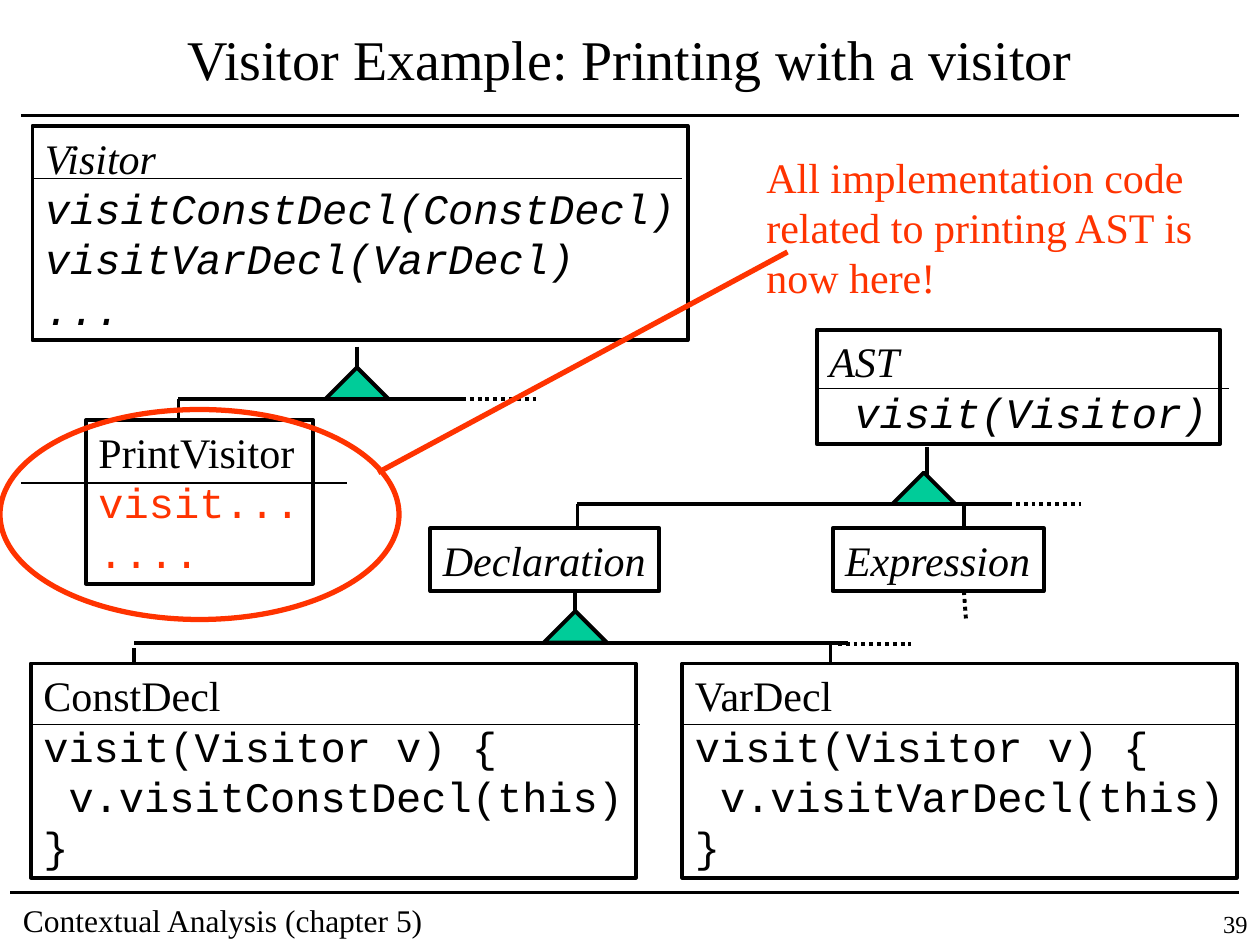
import pptx
import pptx.util
import pptx.dml.color
import pptx.enum.dml
import pptx.enum.shapes
import pptx.enum.text
import pptx.oxml.ns
import lxml.etree

SHAPE = pptx.enum.shapes.MSO_SHAPE
ALIGN = pptx.enum.text.PP_ALIGN
ANCHOR = pptx.enum.text.MSO_ANCHOR
SERIF = "Times New Roman"
MONO = "Courier New"
BLACK, RED, GREEN, WHITE = "000000", "FF3300", "00CC99", "FFFFFF"
COLUMNS, ROWS = 120, 90


def color(value):
    return pptx.dml.color.RGBColor.from_string(value)


class ClassDiagram:
    body = {"size": 24, "name": SERIF, "italic": False, "color": BLACK}
    outline = 2.25
    hairline = 0.75
    callout = 3

    def __init__(self, presentation):
        self.presentation = presentation
        self.slide = presentation.slides.add_slide(presentation.slide_layouts[5])

    def place(self, *cells):
        width, height = self.presentation.slide_width, self.presentation.slide_height
        return [int(cell * (height / ROWS if index % 2 else width / COLUMNS))
                for index, cell in enumerate(cells)]

    def set_lines(self, shape, lines, wrap=True, align=ALIGN.LEFT, anchor=ANCHOR.TOP):
        frame = shape.text_frame
        settings = {"word_wrap": wrap, "vertical_anchor": anchor,
                    "margin_left": pptx.util.Inches(0.1), "margin_right": pptx.util.Inches(0.1),
                    "margin_top": pptx.util.Inches(0.05), "margin_bottom": pptx.util.Inches(0.05)}
        for key, value in settings.items():
            setattr(frame, key, value)
        for index, (text, changes) in enumerate(lines):
            paragraph = frame.add_paragraph() if index else frame.paragraphs[0]
            look = {**self.body, **changes}
            spacing = {"alignment": align, "line_spacing": pptx.util.Pt(look["size"] * 1.2),
                       "space_before": pptx.util.Pt(0)}
            for key, value in spacing.items():
                setattr(paragraph, key, value)
            run = paragraph.add_run()
            run.text = text
            font = {"size": pptx.util.Pt(look["size"]), "name": look["name"],
                    "italic": look["italic"]}
            for key, value in font.items():
                setattr(run.font, key, value)
            run.font.color.rgb = color(look["color"])

    def title(self, text, *cells):
        shape = self.slide.shapes.title
        for key, value in zip(("left", "top", "width", "height"), self.place(*cells)):
            setattr(shape, key, value)
        self.set_lines(shape, [(text, {"size": 32})], align=ALIGN.CENTER, anchor=ANCHOR.MIDDLE)

    def text(self, text, cells, align=ALIGN.LEFT, **changes):
        shape = self.slide.shapes.add_textbox(*self.place(*cells))
        self.set_lines(shape, [(text, changes)], align=align)

    def shape(self, kind, cells, fill=None, line=BLACK, width=outline):
        shape = self.slide.shapes.add_shape(kind, *self.place(*cells))
        shape.shadow.inherit = False
        if fill:
            shape.fill.solid()
            shape.fill.fore_color.rgb = color(fill)
        else:
            shape.fill.background()
        shape.line.color.rgb = color(line)
        shape.line.width = pptx.util.Pt(width)
        return shape

    def class_box(self, cells, name, members=(), abstract=False, member_color=BLACK, fill=None):
        lines = [(name, {"italic": abstract})]
        lines += [(member, {"name": MONO, "italic": abstract, "color": member_color})
                  for member in members]
        self.set_lines(self.shape(SHAPE.RECTANGLE, cells, fill), lines, wrap=False)

    def line(self, cells, line=BLACK, width=outline, dotted=False):
        connector = self.slide.shapes.add_connector(
            pptx.enum.shapes.MSO_CONNECTOR.STRAIGHT, *self.place(*cells))
        connector.line.color.rgb = color(line)
        connector.line.width = pptx.util.Pt(width)
        if dotted:
            connector.line.dash_style = pptx.enum.dml.MSO_LINE.ROUND_DOT
        lxml.etree.SubElement(connector._element.spPr, pptx.oxml.ns.qn("a:effectLst"))

    def inheritance(self, stem, triangle, bus, drops, dots):
        self.line(stem)
        self.line(bus)
        for x, top, bottom in drops:
            self.line((x, top, x, bottom))
        x, y = dots
        self.line((x, y, x + 7, y), dotted=True)
        self.shape(SHAPE.ISOSCELES_TRIANGLE, (*triangle, 6, 3), GREEN)


presentation = pptx.Presentation()
presentation.slide_width = pptx.util.Inches(10)
presentation.slide_height = pptx.util.Inches(7.5)
diagram = ClassDiagram(presentation)

diagram.title("Visitor Example: Printing with a visitor", 3, 1, 114, 9)
diagram.line((2, 11, 118, 11))
diagram.line((1, 85, 118, 85))
diagram.text("Contextual Analysis (chapter 5)", (1, 85.2, 46, 4.8), size=18)
diagram.text("39", (111, 86, 9, 4), ALIGN.RIGHT, size=14)

trees = [
    ((88.3, 42.6, 88.3, 45.6), (85, 45), (55, 48, 96, 48),
     [(55, 48, 51), (91.8, 48.2, 50.3)], (96, 48)),
    ((54.8, 56.3, 54.8, 58.7), (51.8, 58.2), (12.8, 61.2, 80.8, 61.2),
     [(12.8, 61.7, 63.2), (79.1, 61.2, 63.2)], (79.8, 61.3)),
    ((34, 33, 34, 35), (31, 35), (17, 38, 44, 38), [(17, 38, 40.3)], (44, 38)),
]
for tree in trees:
    diagram.inheritance(*tree)
diagram.line((91.8, 56.3, 92, 59), dotted=True)

diagram.class_box((77.8, 31.4, 38.4, 10.9), "AST", [" visit(Visitor)"], abstract=True)
diagram.class_box((3.1, 12, 62.4, 20.4), "Visitor",
                  ["visitConstDecl(ConstDecl)", "visitVarDecl(VarDecl)", "..."], abstract=True)
for name, left, width in (("ConstDecl", 2.95, 57.6), ("VarDecl", 65, 52.8)):
    diagram.class_box((left, 63.2, width, 20.4), name,
                      ["visit(Visitor v) {", f" v.visit{name}(this)", "}"])
for name, left, width in (("Expression", 79.3, 20.1), ("Declaration", 41, 21.8)):
    diagram.class_box((left, 50.3, width, 6), name, abstract=True, fill=WHITE)
diagram.class_box((8.2, 40, 21.6, 15.6), "PrintVisitor", ["visit...", "...."],
                  member_color=RED, fill=WHITE)

diagram.shape(SHAPE.OVAL, (0, 39, 38, 20), line=RED, width=diagram.callout)
diagram.line((36, 45, 75, 24), RED, diagram.callout)
diagram.text("All implementation code related to printing AST is now here!",
             (71.8, 13.8, 46.2, 15.6), color=RED)

for left, right, y in ((3, 65, 17), (78, 117, 37), (2, 33, 46), (3, 61, 69), (65, 118, 69)):
    diagram.line((left, y, right, y), width=diagram.hairline)

presentation.save("out.pptx")
